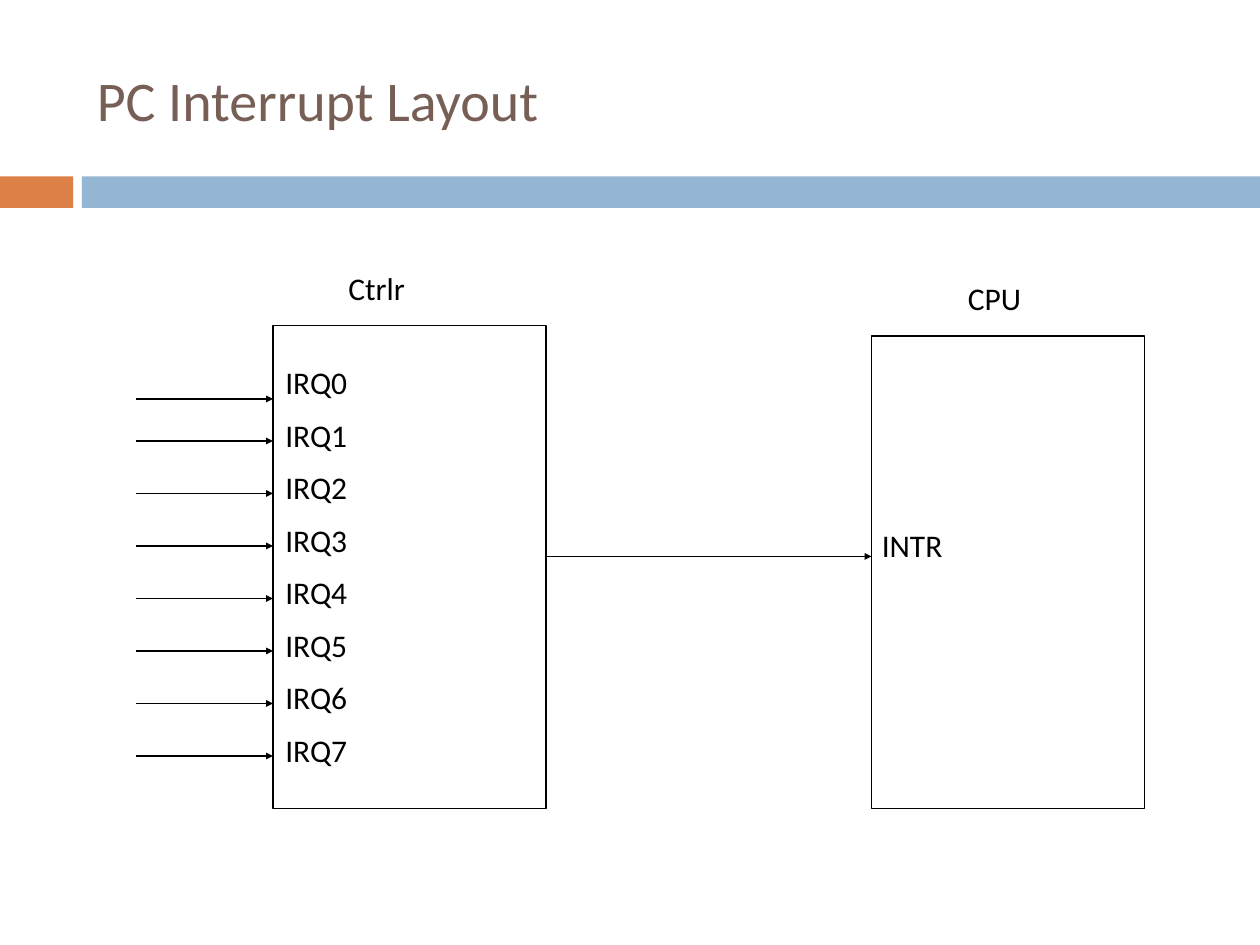
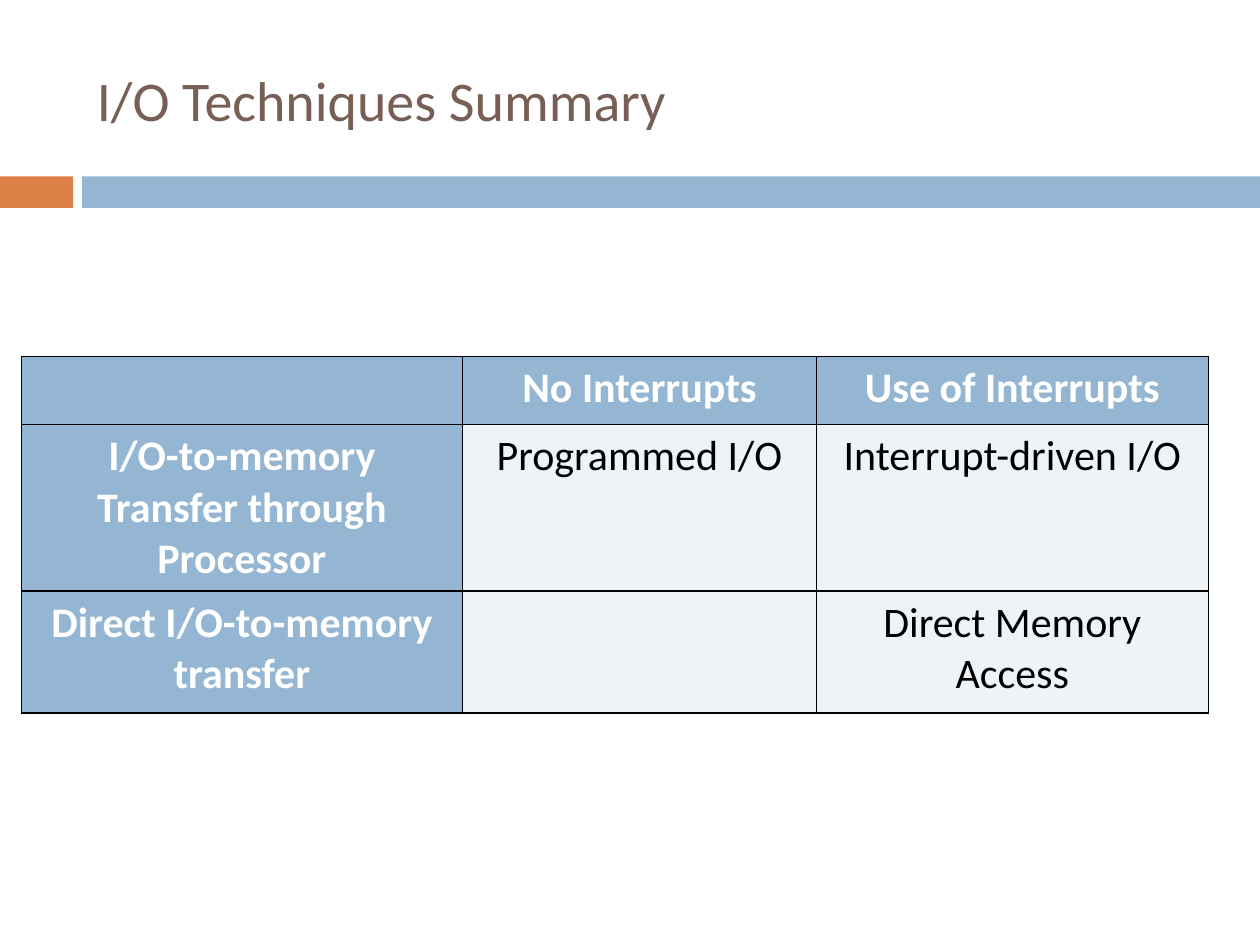
from lxml import etree
from pptx import Presentation
from pptx.dml.color import RGBColor
from pptx.enum.shapes import MSO_CONNECTOR, MSO_SHAPE
from pptx.enum.text import MSO_ANCHOR, PP_ALIGN
from pptx.oxml.ns import qn
from pptx.util import Inches, Pt

RECTANGLE = MSO_SHAPE.RECTANGLE
STRAIGHT = MSO_CONNECTOR.STRAIGHT
TOP, MIDDLE = MSO_ANCHOR.TOP, MSO_ANCHOR.MIDDLE
LEFT, CENTER = PP_ALIGN.LEFT, PP_ALIGN.CENTER

FONT = "Calibri"
COLORS = {"title": "775F55", "accent": "DD8047", "band": "94B6D2",
          "cell": "EEF3F7", "ink": "000000", "white": "FFFFFF"}

# Content; diagram lengths are in grid units of a twelfth of an inch
GRID = Inches(1) / 12
LAYOUT_TITLE = "PC Interrupt Layout"
CHIPS = [(26, 31, 26, 46), (83, 32, 26, 45)]
LABELS = [("Ctrlr", 32, 25), ("CPU", 91, 26), ("INTR", 82.8, 49.5)]
INTR_ARROW = (52, 83, 53)
IRQ_COUNT, IRQ_STEP = 8, 5
IRQ_LABEL_TOP = 34
IRQ_ARROW_LEFT, IRQ_ARROW_RIGHT = 13, 26
IRQ_ARROW_TOP, FIRST_ARROW_SHIFT = 37, 1

SUMMARY_TITLE = "I/O Techniques Summary"
SUMMARY = [
    ["", "No Interrupts", "Use of Interrupts"],
    ["I/O-to-memory Transfer through Processor", "Programmed I/O",
     "Interrupt-driven I/O"],
    ["Direct I/O-to-memory transfer", "", "Direct Memory Access"],
]
COLUMN_WIDTHS = [3.5, 2.81, 3.11]
ROW_HEIGHTS = [0.54, 1.32, 0.97]


def color(name):
    return RGBColor.from_string(COLORS[name])


def units(*values):
    return [round(value * GRID) for value in values]


def inches(*values):
    return [Inches(value) for value in values]


def write(frame, text, size=18, ink="ink", bold=False, align=LEFT, anchor=TOP):
    frame.word_wrap = True
    frame.vertical_anchor = anchor
    para = frame.paragraphs[0]
    para.alignment = align
    span = para.add_run()
    span.text = text
    span.font.name = FONT
    span.font.size = Pt(size)
    span.font.bold = bold
    span.font.color.rgb = color(ink)


def add_text(page, text, place, **style):
    write(page.shapes.add_textbox(*place).text_frame, text, **style)


def add_box(page, place, fill=None):
    """A filled band, or an outlined box when no fill is given."""
    box = page.shapes.add_shape(RECTANGLE, *place)
    box.shadow.inherit = False
    if fill:
        box.fill.solid()
        box.fill.fore_color.rgb = color(fill)
        box.line.fill.background()
    else:
        box.fill.background()
        box.line.color.rgb = color("ink")
        box.line.width = Pt(1)


def add_arrow(page, left, right, top):
    arrow = page.shapes.add_connector(STRAIGHT, *units(left, top, right, top))
    arrow.line.color.rgb = color("ink")
    arrow.line.width = Pt(1)
    etree.SubElement(arrow.line._get_or_add_ln(), qn("a:tailEnd"),
                     type="triangle", w="sm", len="sm")
    etree.SubElement(arrow._element.spPr, qn("a:effectLst"))


def add_borders(cell):
    properties = cell._tc.get_or_add_tcPr()
    for side in ("a:lnL", "a:lnR", "a:lnT", "a:lnB"):
        line = etree.SubElement(properties, qn(side), w=str(Pt(1)))
        fill = etree.SubElement(line, qn("a:solidFill"))
        etree.SubElement(fill, qn("a:srgbClr"), val=COLORS["ink"])


def add_page(deck, title):
    """A page with the shared bands and title."""
    page = deck.slides.add_slide(deck.slide_layouts[6])
    add_box(page, inches(0, 1.4, 0.58, 0.25), "accent")
    add_box(page, inches(0.65, 1.4, 9.35, 0.25), "band")
    add_text(page, title, inches(0.67, 0.25, 8.92, 1.08),
             size=32, ink="title", anchor=MIDDLE)
    return page


def build_layout(deck):
    page = add_page(deck, LAYOUT_TITLE)
    for chip in CHIPS:
        add_box(page, units(*chip))
    for text, left, top in LABELS:
        add_text(page, text, units(left, top, 13, 6))
    add_arrow(page, *INTR_ARROW)

    # Interrupt request lines
    for number in range(IRQ_COUNT):
        offset = number * IRQ_STEP
        shift = FIRST_ARROW_SHIFT if number == 0 else 0
        add_arrow(page, IRQ_ARROW_LEFT, IRQ_ARROW_RIGHT,
                  IRQ_ARROW_TOP + offset + shift)
        add_text(page, f"IRQ{number}",
                 units(IRQ_ARROW_RIGHT, IRQ_LABEL_TOP + offset, 11, 6))


def build_summary(deck):
    page = add_page(deck, SUMMARY_TITLE)
    place = inches(0.17, 2.83, sum(COLUMN_WIDTHS), sum(ROW_HEIGHTS))
    table = page.shapes.add_table(len(SUMMARY), len(COLUMN_WIDTHS), *place).table
    table.first_row = table.horz_banding = False
    for column, width in zip(table.columns, COLUMN_WIDTHS):
        column.width = Inches(width)
    for row, height in zip(table.rows, ROW_HEIGHTS):
        row.height = Inches(height)

    # Cells: the first row and first column are headings
    for row, texts in enumerate(SUMMARY):
        for column, text in enumerate(texts):
            heading = row == 0 or column == 0
            cell = table.cell(row, column)
            add_borders(cell)
            cell.fill.solid()
            cell.fill.fore_color.rgb = color("band" if heading else "cell")
            if text:
                write(cell.text_frame, text, size=24, bold=heading, align=CENTER,
                      ink="white" if heading else "ink")


def main():
    deck = Presentation()
    deck.slide_width, deck.slide_height = inches(10, 7.5)
    build_layout(deck)
    build_summary(deck)
    deck.save("out.pptx")


if __name__ == "__main__":
    main()
